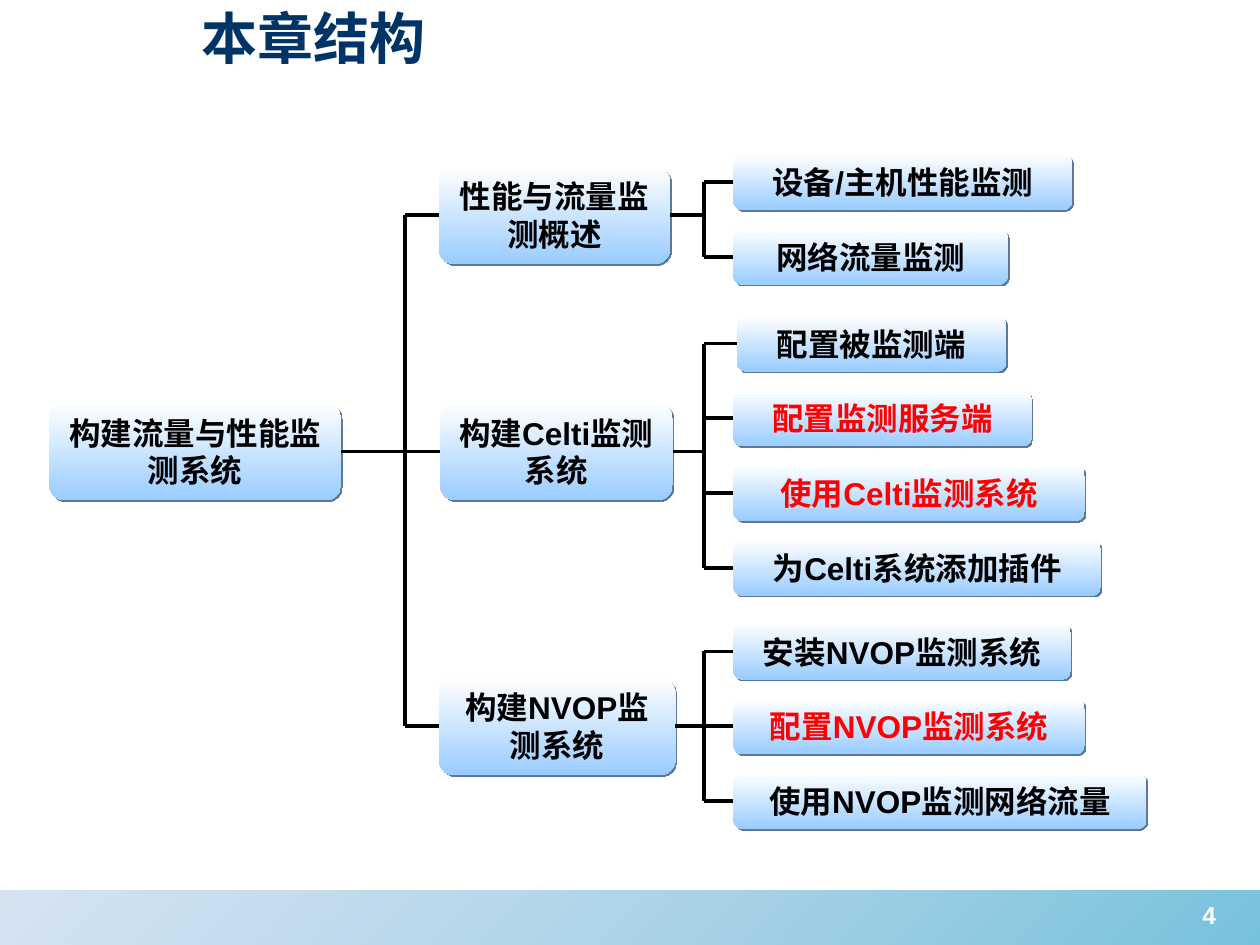
from lxml.etree import SubElement
from pptx import Presentation
from pptx.dml.color import RGBColor
from pptx.enum.shapes import MSO_CONNECTOR, MSO_SHAPE
from pptx.enum.text import MSO_ANCHOR, PP_ALIGN
from pptx.oxml.ns import qn
from pptx.util import Pt

BLACK, RED, WHITE, NAVY = "000000", "FF0000", "FFFFFF", "003366"
RIGHT_SIDE, LEFT_SIDE = 3, 1


def rgb(hex_color):
    return RGBColor.from_string(hex_color)


def write(shape, text, size=18, color=BLACK, align=PP_ALIGN.CENTER,
          anchor=MSO_ANCHOR.MIDDLE):
    frame = shape.text_frame
    frame.word_wrap = True
    frame.vertical_anchor = anchor
    paragraph = frame.paragraphs[0]
    paragraph.alignment = align
    run = paragraph.add_run()
    run.text = text
    run.font.name = "Arial"
    run.font.size = Pt(size)
    run.font.bold = True
    run.font.color.rgb = rgb(color)


def middle_of(box):
    return box.top.pt + box.height.pt / 2


class Diagram:
    box_colors = (WHITE, "99CCFF")
    shadow_color = "5B7998"
    line_width = 2.25

    def __init__(self, slide):
        self.slide = slide

    def gradient_shape(self, kind, left, top, width, height, colors, angle):
        shape = self.slide.shapes.add_shape(
            kind, Pt(left), Pt(top), Pt(width), Pt(height))
        shape.shadow.inherit = False
        shape.line.fill.background()
        shape.fill.gradient()
        shape.fill.gradient_angle = angle
        for stop, color in zip(shape.fill.gradient_stops, colors):
            stop.color.rgb = rgb(color)
        return shape

    def band(self, left, top, width, height, colors, opacities):
        band = self.gradient_shape(
            MSO_SHAPE.RECTANGLE, left, top, width, height, colors, 135)
        tints = band._element.spPr.iter(qn("a:srgbClr"))
        for tint, opacity in zip(tints, opacities):
            SubElement(tint, qn("a:alpha"), val=str(opacity * 1000))

    def box(self, left, top, width, height, text, color=BLACK):
        box = self.gradient_shape(
            MSO_SHAPE.ROUNDED_RECTANGLE, left, top, width, height,
            self.box_colors, 270)
        effects = box._element.spPr.find(qn("a:effectLst"))
        shadow = SubElement(
            effects, qn("a:outerShdw"), blurRad="0", dist=str(Pt(1.4)),
            dir="2700000", algn="ctr", rotWithShape="0")
        SubElement(shadow, qn("a:srgbClr"), val=self.shadow_color)
        write(box, text, color=color)
        return box

    def line(self, x1, y1, x2, y2):
        line = self.slide.shapes.add_connector(
            MSO_CONNECTOR.STRAIGHT, Pt(x1), Pt(y1), Pt(x2), Pt(y2))
        line.line.width = Pt(self.line_width)
        line.line.color.rgb = rgb(BLACK)
        SubElement(line._element.spPr, qn("a:effectLst"))
        return line

    def label(self, left, top, width, height, text, **text_format):
        label = self.slide.shapes.add_textbox(
            Pt(left), Pt(top), Pt(width), Pt(height))
        write(label, text, **text_format)

    def bracket(self, parent, children, spine):
        start = parent.left.pt + parent.width.pt
        middle = middle_of(parent)
        trunk = self.line(start, middle, spine, middle)
        trunk.begin_connect(parent, RIGHT_SIDE)
        levels = [middle_of(child) for child in children]
        self.line(spine, levels[0], spine, levels[-1])
        for child, level in zip(children, levels):
            branch = self.line(spine, level, child.left.pt, level)
            branch.end_connect(child, LEFT_SIDE)


ROOT_SPINE, TOPIC_SPINE = 231.5, 402.5
TOPIC_HEIGHT, LESSON_HEIGHT, LESSON_PITCH = 56, 32, 42.7

TOPICS = [
    ("性能与流量监测概述", 250.6, 95, 132.5, 88, [
        ("设备/主机性能监测", 419, 193.7, BLACK),
        ("网络流量监测", 419, 157, BLACK),
    ]),
    ("构建Celti监测系统", 251.3, 230, 133.2, 180.3, [
        ("配置被监测端", 421, 154, BLACK),
        ("配置监测服务端", 419, 170.6, RED),
        ("使用Celti监测系统", 419, 200.9, RED),
        ("为Celti系统添加插件", 419, 210.2, BLACK),
    ]),
    ("构建NVOP监测系统", 250.6, 387, 135.4, 356.3, [
        ("安装NVOP监测系统", 419, 193, BLACK),
        ("配置NVOP监测系统", 419, 200.9, RED),
        ("使用NVOP监测网络流量", 419, 236.2, BLACK),
    ]),
]


def main():
    presentation = Presentation()
    presentation.slide_width, presentation.slide_height = Pt(720), Pt(540)
    blank = presentation.slide_layouts[6]
    diagram = Diagram(presentation.slides.add_slide(blank))

    diagram.band(0, 509, 720, 31, ("1C99C6", "88B0D8"), (60, 35))
    diagram.label(108, -2, 581, 46, "本章结构", size=32, color=NAVY,
                  align=PP_ALIGN.LEFT)

    chapter = diagram.box(28, 230, 167, TOPIC_HEIGHT, "构建流量与性能监测系统")
    topics = []
    for title, left, top, width, first_top, lessons in TOPICS:
        topic = diagram.box(left, top, width, TOPIC_HEIGHT, title)
        lesson_boxes = [
            diagram.box(lesson_left, first_top + row * LESSON_PITCH,
                        lesson_width, LESSON_HEIGHT, lesson, color)
            for row, (lesson, lesson_left, lesson_width, color)
            in enumerate(lessons)
        ]
        diagram.bracket(topic, lesson_boxes, TOPIC_SPINE)
        topics.append(topic)
    diagram.bracket(chapter, topics, ROOT_SPINE)

    diagram.label(665, 510.5, 52, 37, "4", size=14, color=WHITE,
                  anchor=MSO_ANCHOR.TOP)
    presentation.save("out.pptx")


if __name__ == "__main__":
    main()
